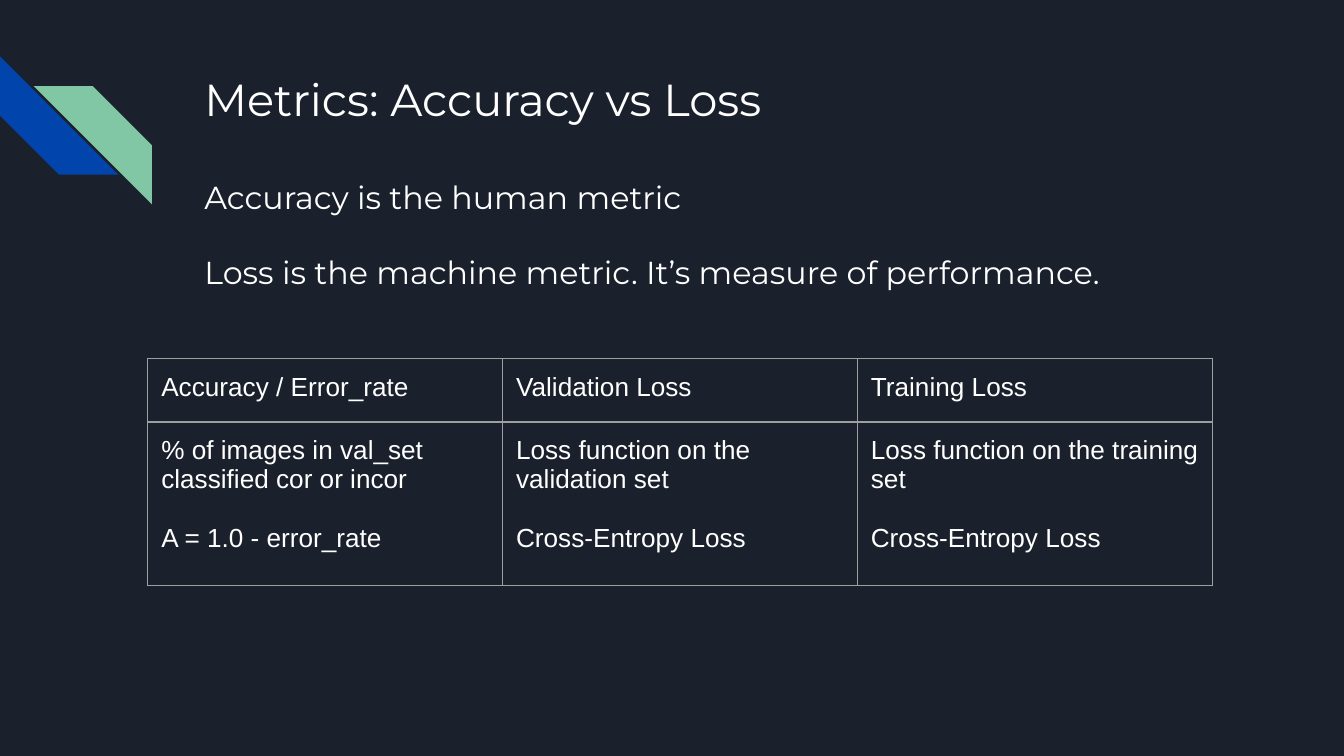
from lxml import etree
from pptx import Presentation
from pptx.dml.color import RGBColor
from pptx.enum.shapes import MSO_SHAPE
from pptx.enum.text import MSO_ANCHOR, MSO_AUTO_SIZE, PP_ALIGN
from pptx.oxml.ns import qn
from pptx.util import Inches, Pt

STRIPE = MSO_SHAPE.DIAGONAL_STRIPE
TOP = MSO_ANCHOR.TOP
NO_AUTOFIT = MSO_AUTO_SIZE.NONE
LEFT = PP_ALIGN.LEFT
TITLE_ONLY = 5

HEADING = [
    # text, size, space before
    ("Metrics: Accuracy vs Loss", 24, 0),
    ("Accuracy is the human metric", 17, 28),
    ("Loss is the machine metric. It’s measure of performance.", 17, 20),
]
METRICS = [
    ["Accuracy / Error_rate", "Validation Loss", "Training Loss"],
    [
        "% of images in val_set classified cor or incor\nA = 1.0 - error_rate",
        "Loss function on the validation set\nCross-Entropy Loss",
        "Loss function on the training set\nCross-Entropy Loss",
    ],
]


def rgb(value):
    return RGBColor.from_string(value)


class SlideBuilder:
    background = "1B212C"
    text = "FFFFFF"
    border = "9E9E9E"
    border_width = 0.75
    inset = 0.1
    heading_font = "Montserrat"
    table_font = "Arial"
    table_size = 14

    def __init__(self, deck):
        self.page = deck.slides.add_slide(deck.slide_layouts[TITLE_ONLY])
        fill = self.page.background.fill
        fill.solid()
        fill.fore_color.rgb = rgb(self.background)

    def set_margins(self, target):
        target.margin_left = target.margin_right = Inches(self.inset)
        target.margin_top = target.margin_bottom = Inches(self.inset)

    def style_paragraph(self, para, font, size, space_before):
        para.alignment = LEFT
        para.line_spacing = 1.0
        para.space_before = Pt(space_before)
        para.font.name = font
        para.font.size = Pt(size)
        para.font.color.rgb = rgb(self.text)

    def stripe(self, left, top, size, rotation, color):
        shape = self.page.shapes.add_shape(
            STRIPE, Inches(left), Inches(top), Inches(size), Inches(size))
        shape.rotation = rotation
        shape.shadow.inherit = False
        shape.fill.solid()
        shape.fill.fore_color.rgb = rgb(color)
        shape.line.fill.background()

    def heading(self, left, top, width, height, lines):
        box = self.page.shapes.title
        box.left, box.top = Inches(left), Inches(top)
        box.width, box.height = Inches(width), Inches(height)
        frame = box.text_frame
        frame.word_wrap = True
        frame.auto_size = NO_AUTOFIT
        frame.vertical_anchor = TOP
        self.set_margins(frame)
        frame.text = "\n".join(text for text, _, _ in lines)
        for para, (_, size, gap) in zip(frame.paragraphs, lines):
            self.style_paragraph(para, self.heading_font, size, gap)

    def cell_borders(self, cell):
        properties = cell._tc.get_or_add_tcPr()
        for side in ("a:lnL", "a:lnR", "a:lnT", "a:lnB"):
            line = etree.SubElement(properties, qn(side), w=str(Pt(self.border_width)))
            fill = etree.SubElement(line, qn("a:solidFill"))
            etree.SubElement(fill, qn("a:srgbClr"), val=self.border)

    def table(self, left, top, column_width, row_heights, rows):
        columns = len(rows[0])
        table = self.page.shapes.add_table(
            len(rows), columns, Inches(left), Inches(top),
            Inches(column_width * columns), Inches(sum(row_heights))).table
        table.first_row = table.horz_banding = False
        for column in table.columns:
            column.width = Inches(column_width)
        for row, height, texts in zip(table.rows, row_heights, rows):
            row.height = Inches(height)
            for cell, text in zip(row.cells, texts):
                self.set_margins(cell)
                self.cell_borders(cell)
                cell.fill.background()
                cell.text = text
                for index, para in enumerate(cell.text_frame.paragraphs):
                    gap = 16 if index else 0
                    self.style_paragraph(para, self.table_font, self.table_size, gap)


def main():
    deck = Presentation()
    deck.slide_width = Inches(10)
    deck.slide_height = deck.slide_width * 9 // 16
    slide = SlideBuilder(deck)
    slide.stripe(0, 0.42, 0.88, 270, "0145AC")
    slide.stripe(0.25, 0.64, 0.88, 90, "82C7A5")
    slide.heading(1.42, 0.43, 7.7, 1, HEADING)
    slide.table(1.1, 2.67, 2.64, [0.47, 1.22], METRICS)
    deck.save("out.pptx")


if __name__ == "__main__":
    main()
